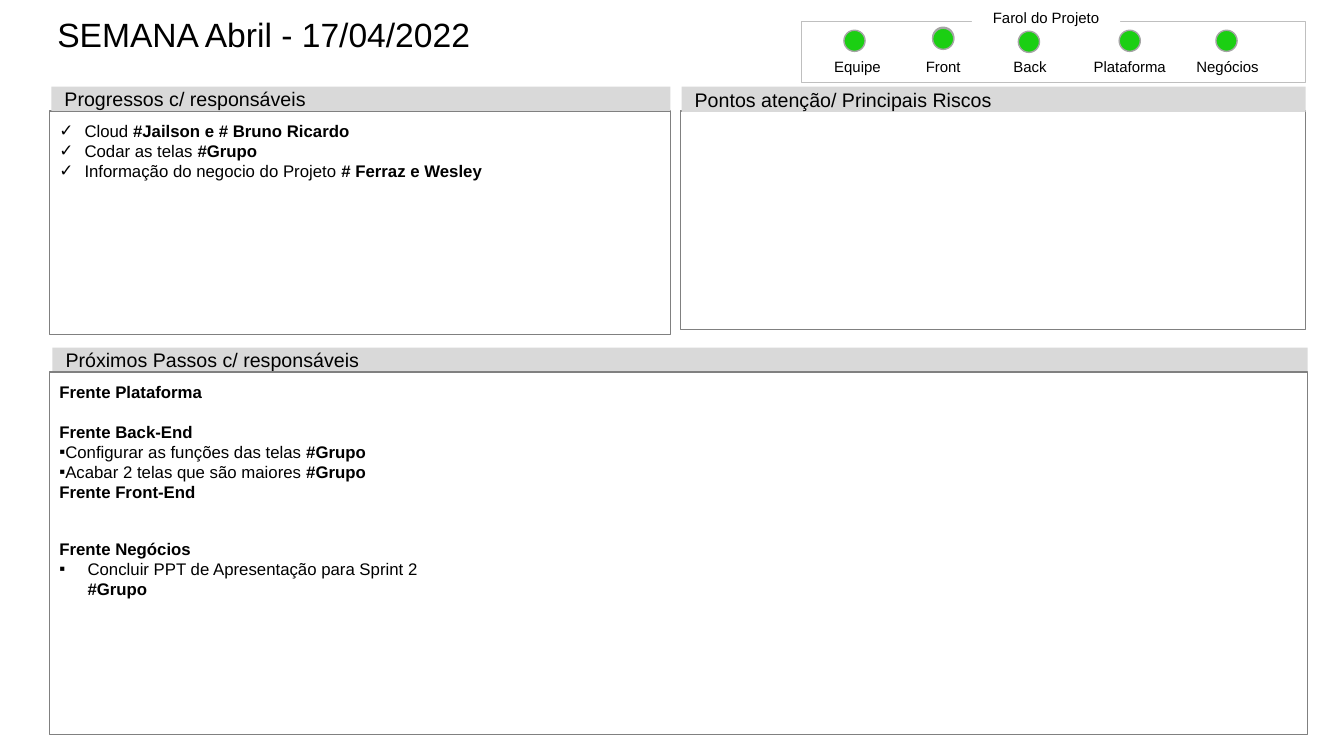
from lxml.etree import SubElement
from pptx import Presentation
from pptx.dml.color import RGBColor
from pptx.enum.shapes import MSO_SHAPE as SHAPE
from pptx.enum.text import MSO_ANCHOR as ANCHOR, PP_ALIGN as ALIGN
from pptx.oxml.ns import qn
from pptx.util import Inches, Pt

CELL = 0.1  # side of a grid cell, in inches
FONT = "Arial"
BLACK, WHITE, BAND, BORDER = "000000", "FFFFFF", "D9D9D9", "808080"
FRAME, RING, GREEN, YELLOW = "BFBFBF", "A5A5A5", "1BCF13", "FFFF00"


def color(hex_code):
    return RGBColor.from_string(hex_code)


def cells(*counts):
    return [Inches(count * CELL) for count in counts]


def write(paragraph, text, size=12, bold=False, align=ALIGN.LEFT, bullet=None,
          indent=0, before=0, spacing=None):
    """Fill a paragraph; parts between asterisks switch to bold."""
    paragraph.alignment = align
    paragraph.space_before = Pt(before)
    if spacing:
        paragraph.line_spacing = spacing
    if bullet:
        props = paragraph._p.get_or_add_pPr()
        margin = Inches(indent)
        props.set("marL", str(margin))
        props.set("indent", str(-margin))
        SubElement(props, qn("a:buFont"), typeface=FONT)
        SubElement(props, qn("a:buChar"), char=bullet)
    for number, part in enumerate(text.split("*")):
        if part:
            run = paragraph.add_run()
            run.text = part
            run.font.name, run.font.size = FONT, Pt(size)
            run.font.bold = bold or number % 2 == 1
            run.font.color.rgb = color(BLACK)


class Report:
    """Current slide plus its shared style; places are (left, top, width, height) in cells."""

    def __init__(self, slide):
        self.slide = slide

    def shape(self, place, kind=SHAPE.RECTANGLE, fill=None, line=None, weight=1):
        item = self.slide.shapes.add_shape(kind, *cells(*place))
        item.shadow.inherit = False
        if fill:
            item.fill.solid()
            item.fill.fore_color.rgb = color(fill)
        else:
            item.fill.background()
        if line:
            item.line.color.rgb = color(line)
            item.line.width = Pt(weight)
        else:
            item.line.fill.background()
        return item

    def fit(self, item, insets, anchor=ANCHOR.TOP, wrap=True):
        frame = item.text_frame
        frame.word_wrap, frame.vertical_anchor = wrap, anchor
        (frame.margin_left, frame.margin_top,
         frame.margin_right, frame.margin_bottom) = cells(*insets)
        return frame

    def title(self, place, text):
        box = self.slide.shapes.add_textbox(*cells(*place))
        write(self.fit(box, (1, 0, 1, 0)).paragraphs[0], text, size=24, spacing=0.9)

    def label(self, place, text, fill=None):
        frame = self.fit(self.shape(place, fill=fill), (0.5, 0.5, 0.5, 0), ANCHOR.BOTTOM, False)
        write(frame.paragraphs[0], text, size=10.7, align=ALIGN.CENTER)

    def lamp(self, left, top, fill=GREEN):
        self.shape((left, top, 2.1, 2.1), SHAPE.OVAL, fill, RING)

    def header(self, place, text):
        frame = self.fit(self.shape(place, fill=BAND), (1.3, 0.7, 1.3, 0.7), ANCHOR.MIDDLE)
        write(frame.paragraphs[0], text, size=14)

    def panel(self, place, lines=(), columns=1):
        frame = self.fit(self.shape(place, line=BORDER), (1, 1, 1, 0.5))
        if columns > 1:
            frame._txBody.bodyPr.set("numCol", str(columns))
        for number, (text, style) in enumerate(lines):
            paragraph = frame.add_paragraph() if number else frame.paragraphs[0]
            write(paragraph, text, spacing=Pt(14.3), **style)


deck = Presentation()
deck.slide_width, deck.slide_height = Inches(13.33), Inches(7.5)
report = Report(deck.slides.add_slide(deck.slide_layouts[6]))

report.title((4.7, 1.8, 70, 7.9), "SEMANA Abril - 17/04/2022")

# Project status lights
report.shape((79.5, 2.1, 50, 6.1), line=FRAME, weight=0.5)
report.label((96.4, 0.5, 14.7, 2.1), "Farol do Projeto", fill=WHITE)
report.lamp(92.5, 2.7, YELLOW)
fronts = [("Equipe", 80.6, 83.7, 3), ("Front", 89.1, 92.5, 2.8), ("Back", 97.7, 101, 3.1),
          ("Plataforma", 107.6, 111, 3), ("Negócios", 117.3, 120.6, 3)]
for front, label_left, lamp_left, lamp_top in fronts:
    report.label((label_left, 5.7, 8.9, 1.8), front)
    report.lamp(lamp_left, lamp_top)

# Progress and risks
check = dict(bullet="✓", indent=0.25)
progress = [("Cloud* #Jailson e # Bruno Ricardo*", check),
            ("Codar as telas *#Grupo*", check),
            ("Informação do negocio do Projeto *# Ferraz e Wesley*", check)]
report.panel((67.5, 11, 62, 21.7))
report.panel((4.9, 11, 61.6, 22.2), progress)
report.header((5.1, 8.6, 61.4, 2.4), "Progressos c/ responsáveis")
report.header((67.6, 8.6, 61.9, 2.5), "Pontos atenção/ Principais Riscos")

# Next steps
heading = dict(bold=True)
task = dict(bullet="▪")
next_steps = [("Frente Plataforma", heading),
              ("Frente Back-End", dict(heading, before=14.3)),
              ("Configurar as funções das telas* #Grupo*", task),
              ("Acabar 2 telas que são maiores* #Grupo*", task),
              ("Frente Front-End", heading),
              ("Frente Negócios", dict(heading, before=26.4)),
              ("Concluir PPT de Apresentação para Sprint 2 *#Grupo*", dict(task, indent=0.28))]
report.header((5.2, 34.5, 124.5, 2.4), "Próximos Passos c/ responsáveis")
report.panel((4.9, 36.9, 124.8, 36), next_steps, columns=3)

deck.save("out.pptx")
